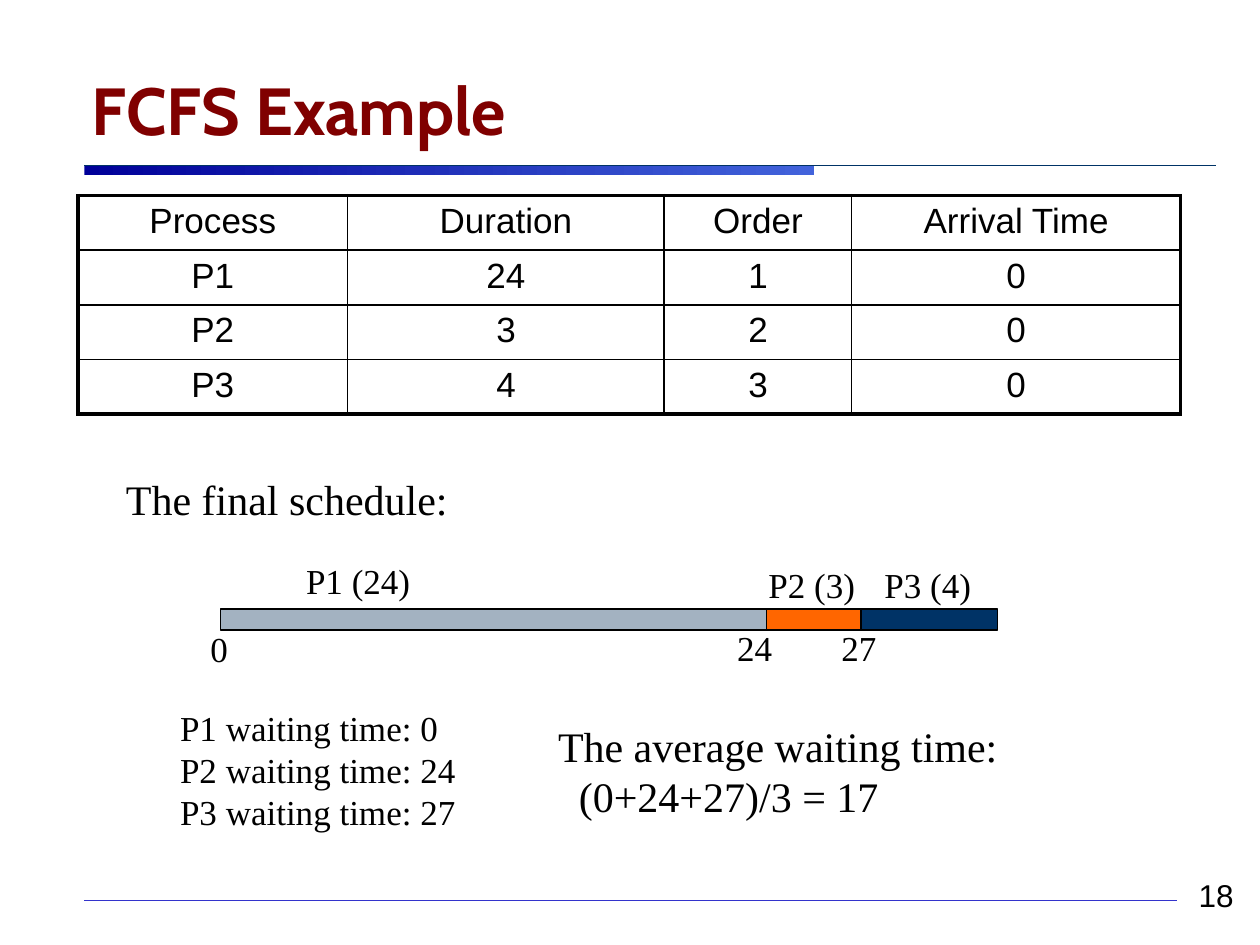
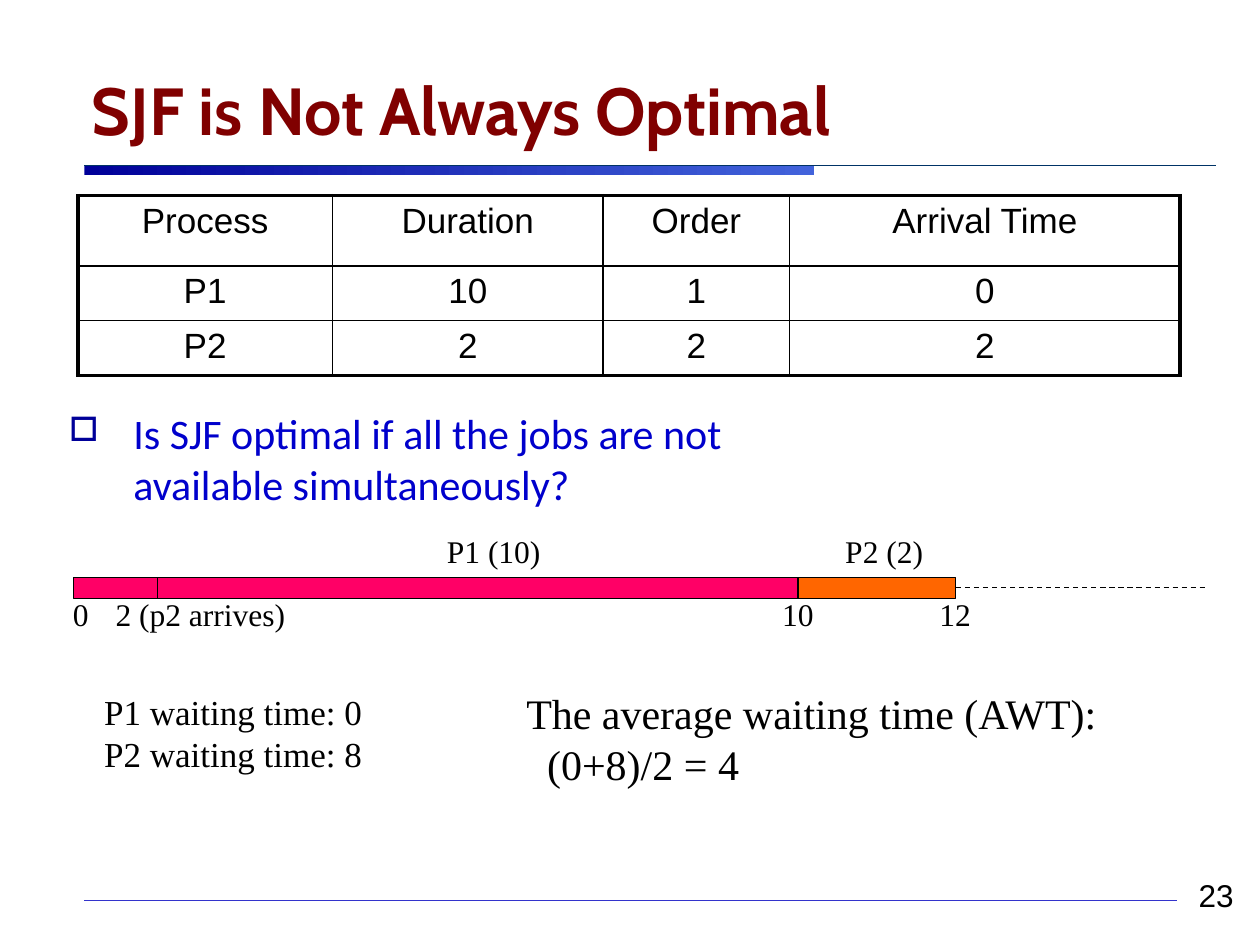
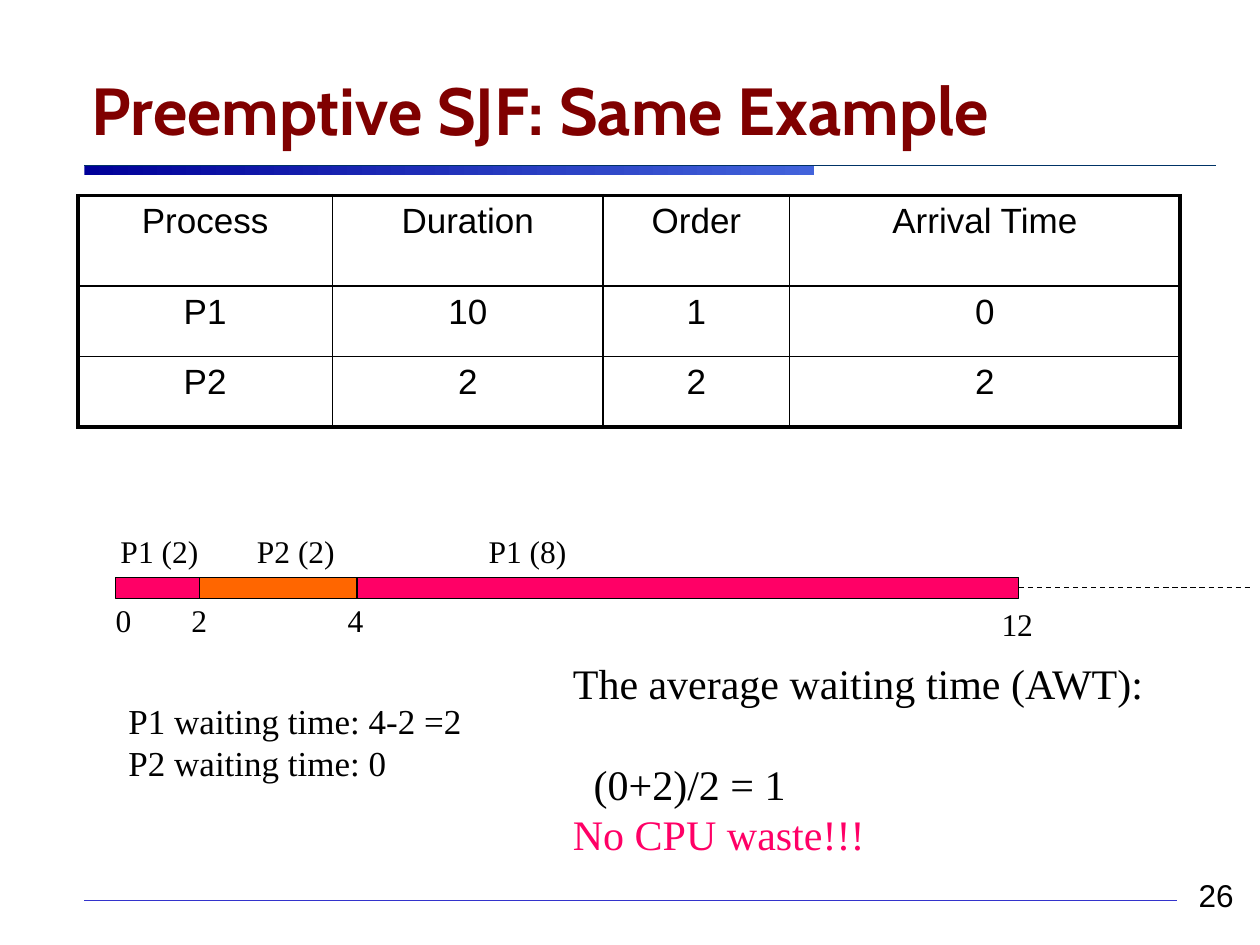
from lxml import etree
from pptx import Presentation
from pptx import util as u
from pptx.dml.color import RGBColor
from pptx.enum import dml, shapes, text
from pptx.oxml.ns import qn

BLACK, PINK, ORANGE = "000000", "FF0066", "FF6600"
SERIF = "Times New Roman"
BAR_HEIGHT = 0.42
HEADINGS = ["Process", "Duration", "Order", "Arrival Time"]
SJF_ROWS = [HEADINGS, ["P1", "10", "1", "0"], ["P2", "2", "2", "2"]]
SJF_COLUMNS = [5.13, 5.46, 3.76, 7.87]

LESSONS = [
    {
        "title": "FCFS Example", "number": "18",
        "columns": [5.44, 6.38, 3.78, 6.63], "heights": [1.04] * 4, "margin": 0.28,
        "rows": [HEADINGS, ["P1", "24", "1", "0"], ["P2", "3", "2", "0"], ["P3", "4", "3", "0"]],
        "bar_top": 12.28,
        "bars": [(4.45, 11.22, "A3B2C1"), (15.45, 2.12, ORANGE), (17.36, 2.75, "003366")],
        "label_size": 20,
        "labels": [
            (5.92, 11.15, 2.82, "P1 (24)"), (15.24, 11.23, 2.44, "P2 (3)"),
            (17.58, 11.23, 2.44, "P3 (4)"), (3.99, 12.52, 0.91, "0"),
            (14.61, 12.5, 1.3, "24"), (16.71, 12.5, 1.3, "27"),
        ],
        "waiting": (3.38, 14.12, 6.12,
                    ["P1 waiting time: 0", "P2 waiting time: 24", "P3 waiting time: 27"]),
        "average": (11, 14.4, 10.44, ["The average waiting time:", "(0+24+27)/3 = 17"]),
        "average_gap": 0,
    },
    {
        "title": "SJF is Not Always Optimal", "number": "23",
        "columns": SJF_COLUMNS, "heights": [1.42, 1.04, 1.04], "margin": 0.41,
        "rows": SJF_ROWS,
        "bar_top": 11.64,
        "bars": [(1.48, 14.61, PINK), (16.09, 3.18, ORANGE)],
        "idle_end": 24.33,
        "label_size": 18,
        "labels": [
            (8.76, 10.59, 2.41, "P1 (10)"), (16.79, 10.59, 2.11, "P2 (2)"),
            (1.22, 11.86, 0.86, "0"), (2.08, 11.86, 5.28, "2 (p2 arrives)"),
            (15.52, 11.86, 1.14, "10"), (18.69, 11.86, 1.14, "12"),
        ],
        "waiting": (1.85, 13.79, 5.77, ["P1 waiting time: 0", "P2 waiting time: 8"]),
        "average": (10.36, 13.74, 13.13, ["The average waiting time (AWT):", "(0+8)/2 = 4"]),
        "average_gap": 0,
    },
    {
        "title": "Preemptive SJF: Same Example", "number": "26",
        "columns": SJF_COLUMNS, "heights": [1.83, 1.42, 1.42], "margin": 0.25,
        "rows": SJF_ROWS,
        "bar_top": 11.64,
        "bars": [(2.33, 1.69, PINK), (4.02, 3.18, ORANGE), (7.2, 13.34, PINK)],
        "idle_end": 25.2,
        "label_size": 18,
        "labels": [
            (2.18, 10.59, 2.11, "P1 (2)"), (4.93, 10.59, 2.11, "P2 (2)"),
            (9.6, 10.59, 2.11, "P1 (8)"), (2.08, 11.99, 0.86, "0"),
            (3.61, 11.99, 5.28, "2"), (6.76, 11.99, 0.86, "4"),
            (19.94, 12.07, 1.14, "12"),
        ],
        "waiting": (2.34, 13.97, 7.29, ["P1 waiting time: 4-2 =2", "P2 waiting time: 0"]),
        "average": (11.3, 13.13, 12.12,
                    ["The average waiting time (AWT):", "(0+2)/2 = 1", "No CPU waste!!!"]),
        "average_gap": 28.8,
    },
]


def ink(value):
    return RGBColor.from_string(value)


def write(slide, left, top, width, lines, size, font=SERIF, colour=BLACK):
    height = len(lines) * size * 0.0415 + 0.25
    box = slide.shapes.add_textbox(u.Cm(left), u.Cm(top), u.Cm(width), u.Cm(height))
    frame = box.text_frame
    frame.word_wrap = False
    frame.auto_size = text.MSO_AUTO_SIZE.SHAPE_TO_FIT_TEXT
    for index, line in enumerate(lines):
        paragraph = frame.add_paragraph() if index else frame.paragraphs[0]
        run = paragraph.add_run()
        run.text = line
        run.font.size = u.Pt(size)
        run.font.name = font
        run.font.color.rgb = ink(colour)
    return box


deck = Presentation()
deck.slide_width, deck.slide_height = u.Cm(25.4), u.Cm(19.05)

for lesson in LESSONS:
    slide = deck.slides.add_slide(deck.slide_layouts[6])

    band = slide.shapes.add_shape(
        shapes.MSO_SHAPE.RECTANGLE, u.Cm(1.7), u.Cm(3.33), u.Cm(14.71), u.Cm(0.2))
    band.shadow.inherit = False
    band.line.fill.background()
    band.fill.gradient()
    band.fill.gradient_angle = 0
    for stop, colour in zip(band.fill.gradient_stops, ["000099", "4263DB"]):
        stop.color.rgb = ink(colour)

    number = write(slide, 21.31, 17.53, 3.81, [lesson["number"]], 18, "Arial")
    number.text_frame.word_wrap = True
    number.text_frame.paragraphs[0].alignment = text.PP_ALIGN.RIGHT

    title = write(slide, 1.6, 0.84, 20.9, [lesson["title"]], 38, "Cabin", "800000")
    title.text_frame.word_wrap = True
    title.text_frame.auto_size = text.MSO_AUTO_SIZE.NONE
    title.text_frame.vertical_anchor = text.MSO_ANCHOR.BOTTOM
    title.text_frame.paragraphs[0].runs[0].font.bold = True
    title.height = u.Cm(2.29)

    rows, columns, heights = lesson["rows"], lesson["columns"], lesson["heights"]
    processes = slide.shapes.add_table(
        len(rows), len(columns), u.Cm(1.57), u.Cm(3.94),
        u.Cm(sum(columns)), u.Cm(sum(heights))).table
    processes.first_row = processes.horz_banding = False
    for column, width in zip(processes.columns, columns):
        column.width = u.Cm(width)
    for r, values in enumerate(rows):
        processes.rows[r].height = u.Cm(heights[r])
        for c, value in enumerate(values):
            cell = processes.cell(r, c)
            cell.fill.background()
            cell.margin_left = cell.margin_right = u.Cm(lesson["margin"])
            paragraph = cell.text_frame.paragraphs[0]
            paragraph.alignment = text.PP_ALIGN.CENTER
            run = paragraph.add_run()
            run.text = value
            run.font.size = u.Pt(20)
            run.font.name = "Arial"
            run.font.color.rgb = ink(BLACK)
            outer = {"a:lnL": c == 0, "a:lnR": c == len(columns) - 1,
                     "a:lnT": r == 0, "a:lnB": r == len(rows) - 1}
            for position, (side, is_outer) in enumerate(outer.items()):
                border = etree.Element(qn(side), w=str(u.Pt(2.25 if is_outer else 1)))
                paint = etree.SubElement(border, qn("a:solidFill"))
                etree.SubElement(paint, qn("a:srgbClr"), val=BLACK)
                cell._tc.get_or_add_tcPr().insert(position, border)

    bar_top = lesson["bar_top"]
    for left, width, colour in lesson["bars"]:
        burst = slide.shapes.add_shape(
            shapes.MSO_SHAPE.RECTANGLE, u.Cm(left), u.Cm(bar_top), u.Cm(width), u.Cm(BAR_HEIGHT))
        burst.shadow.inherit = False
        burst.fill.solid()
        burst.fill.fore_color.rgb = ink(colour)
        burst.line.color.rgb = ink(BLACK)
        burst.line.width = u.Pt(0.75)

    rules = [(1.7, 3.33, 24.51, 3.33, "003366", 0.75, False),
             (1.7, 18.14, 23.72, 18.14, "3333CC", 0.25, False)]
    if "idle_end" in lesson:
        middle = bar_top + BAR_HEIGHT / 2
        rules.append((left + width, middle, lesson["idle_end"], middle, BLACK, 0.75, True))
    if lesson["number"] == "23":
        rules.append((3.17, bar_top, 3.17, bar_top + BAR_HEIGHT, BLACK, 0.75, False))
    for x1, y1, x2, y2, colour, weight, idle in rules:
        rule = slide.shapes.add_connector(
            shapes.MSO_CONNECTOR.STRAIGHT, u.Cm(x1), u.Cm(y1), u.Cm(x2), u.Cm(y2))
        rule.line.color.rgb = ink(colour)
        rule.line.width = u.Pt(weight)
        if idle:
            rule.line.dash_style = dml.MSO_LINE.DASH
            rule.begin_connect(burst, 3)
        etree.SubElement(rule._element.spPr, qn("a:effectLst"))

    for left, top, width, label in lesson["labels"]:
        write(slide, left, top, width, [label], lesson["label_size"])

    write(slide, *lesson["waiting"], 20)
    average = write(slide, *lesson["average"], 24).text_frame.paragraphs
    average[1].space_before = u.Pt(lesson["average_gap"])
    average[1]._p.get_or_add_pPr().set("marL", str(u.Cm(0.42)))
    for remark in average[2:]:
        remark.runs[0].font.color.rgb = ink(PINK)

    if lesson["number"] == "18":
        write(slide, 2.29, 9.42, 7.62, ["The final schedule:"], 24)
    if lesson["number"] == "23":
        question = write(
            slide, 1.14, 8.1, 15.52,
            ["Is SJF optimal if all the jobs are not available simultaneously?"],
            24, "Calibri", "0000CC")
        question.text_frame.word_wrap = True
        question.text_frame.auto_size = text.MSO_AUTO_SIZE.NONE
        question.height = u.Cm(2.64)
        properties = question.text_frame.paragraphs[0]._p.get_or_add_pPr()
        properties.set("marL", str(u.Cm(1.3)))
        properties.set("indent", str(u.Cm(-1.3)))
        bullet_colour = etree.SubElement(properties, qn("a:buClr"))
        etree.SubElement(bullet_colour, qn("a:srgbClr"), val="000099")
        etree.SubElement(properties, qn("a:buSzPct"), val="80000")
        etree.SubElement(properties, qn("a:buChar"), char="□")

deck.save("out.pptx")
